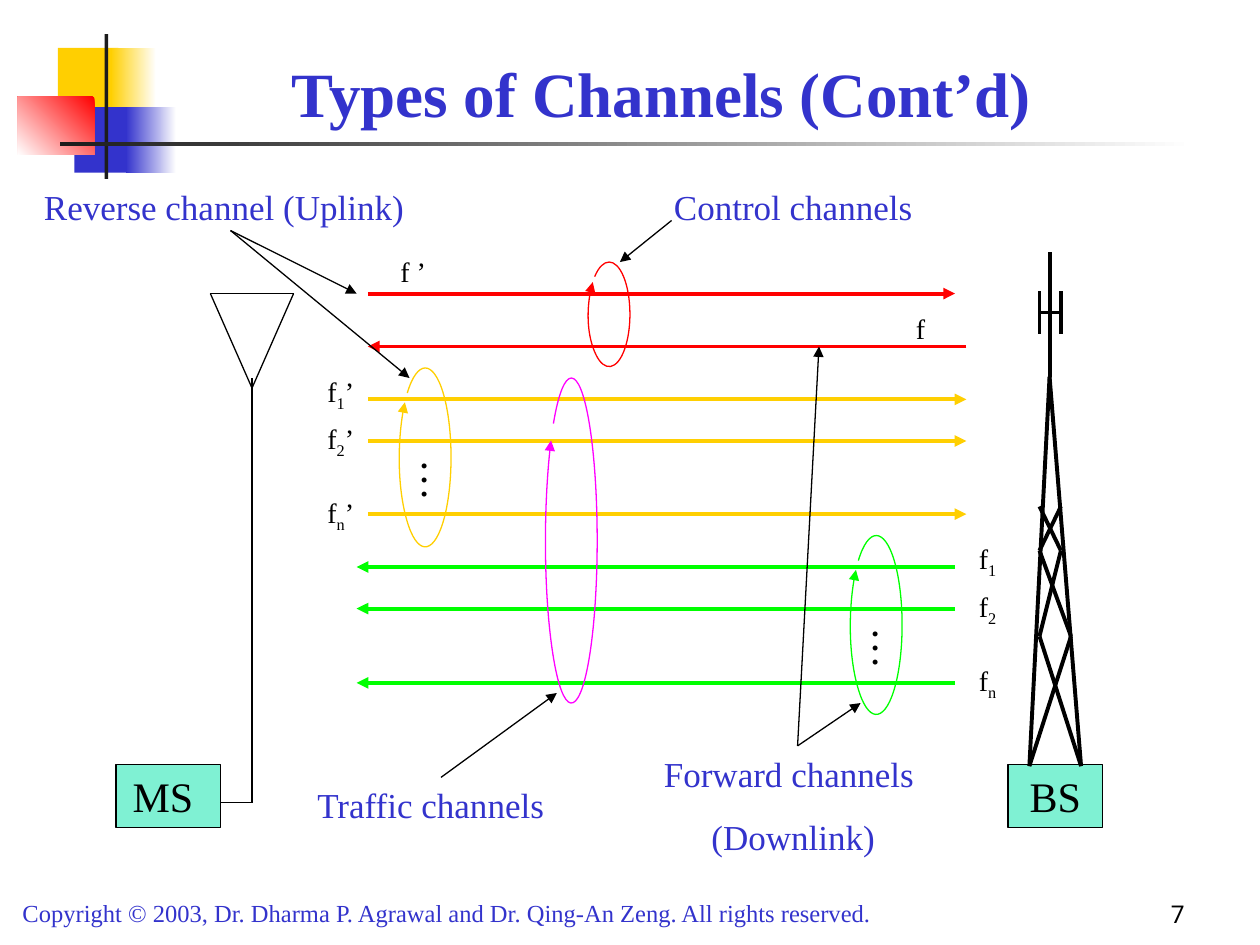
import math

import pptx
import pptx.dml.color
import pptx.enum.shapes
import pptx.enum.text
import pptx.oxml.ns
import pptx.util
from lxml import etree

Inches = pptx.util.Inches
Pt = pptx.util.Pt
RGBColor = pptx.dml.color.RGBColor
ALIGN = pptx.enum.text.PP_ALIGN
ANCHOR = pptx.enum.text.MSO_ANCHOR
RECTANGLE = pptx.enum.shapes.MSO_SHAPE.RECTANGLE
STRAIGHT = pptx.enum.shapes.MSO_CONNECTOR.STRAIGHT
qn = pptx.oxml.ns.qn

BLACK = RGBColor(0x00, 0x00, 0x00)
WHITE = RGBColor(0xFF, 0xFF, 0xFF)
CHARCOAL = RGBColor(0x1C, 0x1C, 0x1C)
BLUE = RGBColor(0x33, 0x33, 0xCC)
YELLOW = RGBColor(0xFF, 0xCF, 0x01)
RED = RGBColor(0xFF, 0x00, 0x00)
GREEN = RGBColor(0x00, 0xFF, 0x00)
MAGENTA = RGBColor(0xFF, 0x00, 0xFF)
MINT = RGBColor(0x00, 0xE4, 0xA8)
SERIF = "Times New Roman"


def write(shape, text, size, color, align=ALIGN.LEFT, anchor=ANCHOR.TOP,
          font=SERIF, bold=False):
    """Fill a shape with one paragraph; text between underscores is subscript."""
    frame = shape.text_frame
    frame.word_wrap = True
    frame.vertical_anchor = anchor
    para = frame.paragraphs[0]
    para.alignment = align
    for index, part in enumerate(text.split("_")):
        if not part:
            continue
        span = para.add_run()
        span.text = part
        for name, value in {"name": font, "size": Pt(size), "bold": bold}.items():
            setattr(span.font, name, value)
        span.font.color.rgb = color
        if index % 2:
            span.font._element.set("baseline", "-25000")
    return frame


def stroke(shape, color, width, arrow):
    """Set the outline, with a triangle at its end if arrow is true."""
    shape.line.color.rgb = color
    shape.line.width = Pt(width)
    if arrow:
        etree.SubElement(shape.line._get_or_add_ln(), qn("a:tailEnd"), type="triangle")


deck = pptx.Presentation()
deck.slide_width, deck.slide_height = Inches(10), Inches(7.5)
page = deck.slides.add_slide(deck.slide_layouts[5])
shapes = page.shapes

# Corner ornament and rule: place, start colour, end colour, gradient angle
for place, start, end, angle in [
    ((0.46, 0.38, 0.48, 0.52), YELLOW, None, 0),
    ((0.88, 0.38, 0.36, 0.52), WHITE, YELLOW, 180),
    ((0.59, 0.85, 0.46, 0.52), BLUE, None, 0),
    ((1, 0.85, 0.4, 0.52), WHITE, BLUE, 180),
    ((0.14, 0.77, 0.61, 0.46), RED, WHITE, 225),
    ((0.83, 0.27, 0.03, 1.15), CHARCOAL, None, 0),
    ((0.48, 1.13, 9, 0.03), WHITE, CHARCOAL, 180),
]:
    ornament = shapes.add_shape(RECTANGLE, *map(Inches, place))
    ornament.shadow.inherit = False
    ornament.line.fill.background()
    if end is None:
        ornament.fill.solid()
        ornament.fill.fore_color.rgb = start
    else:
        ornament.fill.gradient()
        ornament.fill.gradient_angle = angle
        for stop, color in zip(ornament.fill.gradient_stops, (start, end)):
            stop.color.rgb = color

title = shapes.title
for name, value in {"left": 1, "top": 0.25, "width": 8.5, "height": 0.83}.items():
    setattr(title, name, Inches(value))
write(title, "Types of Channels (Cont’d)", 36, BLUE, ALIGN.CENTER, ANCHOR.BOTTOM, bold=True)

# Mobile station and base station
for left, width, label in [(0.92, 0.83, "MS "), (8, 0.75, "BS")]:
    station = shapes.add_shape(RECTANGLE, Inches(left), Inches(6.07), Inches(width), Inches(0.5))
    station.shadow.inherit = False
    station.fill.solid()
    station.fill.fore_color.rgb = MINT
    tint = station._element.spPr.find(qn("a:solidFill"))[0]
    etree.SubElement(tint, qn("a:alpha"), val="50000")
    stroke(station, BLACK, 0.75, False)
    write(station, label, 24, BLACK, ALIGN.CENTER)

# Lines: start x, start y, end x, end y
uplinks = [(2.92, y, 7.67, y) for y in (3.17, 3.5, 4.08)]
downlinks = [(7.58, y, 2.83, y) for y in (4.5, 4.83, 5.42)]
controls = [(2.92, 2.33, 7.58, 2.33), (7.67, 2.75, 2.92, 2.75)]
pointers = [
    (1.83, 1.83, 3.25, 3), (1.83, 1.83, 2.83, 2.33),
    (6.33, 5.92, 6.83, 5.58), (6.33, 5.92, 6.5, 2.75),
    (5.33, 1.75, 4.92, 2.08), (3.5, 6.17, 4.42, 5.5),
]
antenna = [
    (1.75, 6.37, 2, 6.37), (2, 6.37, 2, 3),
    (1.67, 2.33, 2, 3.08), (2, 3.08, 2.33, 2.33), (1.67, 2.33, 2.33, 2.33),
]
tower = [
    (8.33, 2.99, 8.17, 6.08), (8.33, 2.99, 8.58, 6.08),
    (8.17, 6.08, 8.5, 5.05), (8.58, 6.08, 8.25, 5.05),
    (8.25, 5.05, 8.42, 4.37), (8.5, 5.05, 8.25, 4.37),
    (8.25, 4.37, 8.42, 4.02), (8.42, 4.37, 8.25, 4.02),
    (8.33, 2.99, 8.33, 2), (8.25, 2.48, 8.42, 2.48),
    (8.25, 2.31, 8.25, 2.65), (8.42, 2.31, 8.42, 2.65),
]
for group, color, width, arrow in [
    (uplinks, YELLOW, 2.25, True),
    (controls, RED, 2.25, True),
    (downlinks, GREEN, 2.25, True),
    (pointers, BLACK, 0.75, True),
    (antenna, BLACK, 0.75, False),
    (tower, BLACK, 2.25, False),
]:
    for ends in group:
        line = shapes.add_connector(STRAIGHT, *map(Inches, ends))
        stroke(line, color, width, arrow)
        etree.SubElement(line._element.spPr, qn("a:effectLst"))

# Open loops around each channel group: four Bezier curves along an ellipse
STEP = math.radians(88)
REACH = 4 / 3 * math.tan(STEP / 4)
unit_points = [(math.cos(math.radians(226)), math.sin(math.radians(226)))]
for quarter in range(4):
    turn = math.radians(226) + quarter * STEP
    after = turn + STEP
    unit_points += [
        (math.cos(turn) - REACH * math.sin(turn), math.sin(turn) + REACH * math.cos(turn)),
        (math.cos(after) + REACH * math.sin(after), math.sin(after) - REACH * math.cos(after)),
        (math.cos(after), math.sin(after)),
    ]

for left, top, width, height, color in [
    (3.17, 2.92, 0.41, 1.42, YELLOW),
    (4.67, 2.08, 0.33, 0.83, RED),
    (6.75, 4.25, 0.41, 1.42, GREEN),
    (4.33, 3, 0.41, 2.58, MAGENTA),
]:
    builder = shapes.build_freeform(Inches(left), Inches(top))
    builder.add_line_segments([(Inches(left + width), Inches(top + height))], close=False)
    loop = builder.convert_to_shape()
    loop.shadow.inherit = False
    loop.fill.background()
    stroke(loop, color, 0.75, True)
    outline = loop._element.spPr.find(".//" + qn("a:path"))
    for segment in list(outline):
        outline.remove(segment)
    for index, (x, y) in enumerate(unit_points):
        if index == 0:
            segment = etree.SubElement(outline, qn("a:moveTo"))
        elif index % 3 == 1:
            segment = etree.SubElement(outline, qn("a:cubicBezTo"))
        etree.SubElement(segment, qn("a:pt"), x=str(Inches(width / 2 * (1 + x))),
                         y=str(Inches(height / 2 * (1 + y))))

# Frequency labels
frequencies = [(3.08, 1.97, "f ’"), (7.17, 2.42, "f")]
for index, up, down in [("1", 2.92, 4.25), ("2", 3.3, 4.63), ("n", 3.88, 5.22)]:
    frequencies += [(2.5, up, f"f_{index}_’"), (7.67, down, f"f_{index}_")]
for left, top, label in frequencies:
    box = shapes.add_textbox(Inches(left), Inches(top), Inches(0.58), Inches(0.41))
    write(box, label, 16, BLACK)

for left, top in [(3, 3.58), (6.58, 4.91)]:
    dots = shapes.add_textbox(Inches(left), Inches(top), Inches(0.5), Inches(0.5))
    dots.rotation = 270
    write(dots, "…", 24, BLACK)

# Captions and footer
for left, top, width, height, size, caption in [
    (0.25, 1.42, 3.25, 0.44, 20, "Reverse channel (Uplink)"),
    (5.25, 1.42, 2.25, 0.44, 20, "Control channels"),
    (2.42, 6.17, 2.25, 0.44, 20, "Traffic channels"),
    (0.08, 7.08, 7.58, 0.34, 14, "Copyright © 2003, Dr. Dharma P. Agrawal and "
                                 "Dr. Qing-An Zeng. All rights reserved."),
]:
    box = shapes.add_textbox(*map(Inches, (left, top, width, height)))
    write(box, caption, size, BLUE)

forward = shapes.add_textbox(Inches(5.17), Inches(5.92), Inches(2.25), Inches(0.94))
para = write(forward, "Forward channels", 20, BLUE).add_paragraph()
para.alignment = ALIGN.CENTER
para.space_before = Pt(12.5)
span = para.add_run()
span.text = "(Downlink)"
for name, value in {"name": SERIF, "size": Pt(20)}.items():
    setattr(span.font, name, value)
span.font.color.rgb = BLUE

number = shapes.add_textbox(Inches(7.42), Inches(6.92), Inches(2.08), Inches(0.5))
write(number, "7", 14, BLACK, ALIGN.RIGHT, ANCHOR.BOTTOM, font="Roboto")

deck.save("out.pptx")
